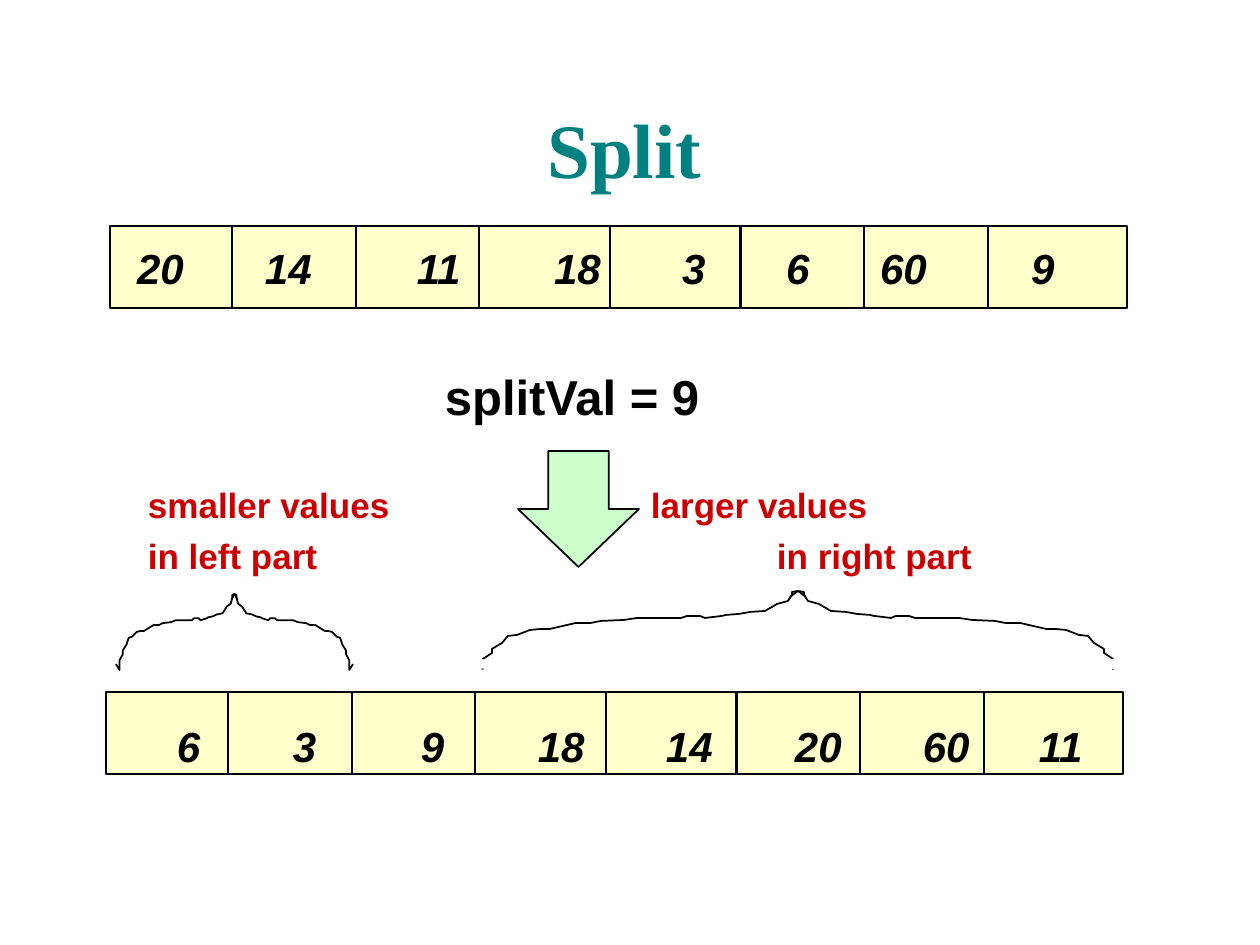
import pptx
import pptx.util
import pptx.dml.color
import pptx.enum.shapes
import pptx.enum.text
import pptx.oxml
import pptx.oxml.ns

SCALE = 914400 / 126  # EMU per px
COLOURS = {"title": "008080", "cell": "FFFFCC", "arrow": "CCFFCC",
           "label": "CC0000", "ink": "000000", "paper": "FFFFFF"}

# Half a brace, from its foot to its tip: distance from the axis, depth below the tip
HALF_BRACE = [
    (325, 72), (315, 78), (315, 68), (306, 62), (306, 58), (301, 55), (296, 52),
    (290, 45), (281, 44), (268, 39), (257, 38), (248, 38), (222, 32), (207, 32),
    (197, 30), (174, 29), (161, 27), (117, 27), (111, 25), (98, 25), (93, 27),
    (76, 25), (72, 24), (59, 23), (48, 21), (33, 20), (26, 16), (21, 13),
    (10, 10), (6, 4), (6, 1), (0, 0), (-8, 6)]
BRACE_WIDTH, BRACE_HEIGHT = 650, 78

# Array row: two blocks (left, width) and the dividers between their cells
BLOCKS = [(0, 630), (631, 386)]
DIVIDERS = [122, 246, 369, 500, 754, 878]
ROW_HEIGHT = 82


def emu(px):
    return pptx.util.Emu(round(px * SCALE))


def rgb(name):
    return pptx.dml.color.RGBColor.from_string(COLOURS[name])


def outline(shape):
    shape.line.color.rgb = rgb("ink")
    shape.line.width = pptx.util.Pt(1)


def add_block(shapes, kind, box, fill):
    shape = shapes.add_shape(kind, *map(emu, box))
    shape.shadow.inherit = False
    shape.fill.solid()
    shape.fill.fore_color.rgb = rgb(fill)
    outline(shape)
    return shape


def format_runs(para, size, colour, font="Arial", italic=False):
    for span in para.runs:
        span.font.name = font
        span.font.size = pptx.util.Pt(size)
        span.font.bold = True
        span.font.italic = italic
        span.font.color.rgb = rgb(colour)


def add_text(page, box, text, size, colour, italic=False):
    frame = page.shapes.add_textbox(*map(emu, box)).text_frame
    frame.word_wrap = True
    frame.margin_left = frame.margin_right = frame.margin_top = frame.margin_bottom = 0
    frame.text = text
    for index, para in enumerate(frame.paragraphs):
        if index:
            para.space_before = pptx.util.Pt(5)
        format_runs(para, size, colour, italic=italic)
    return frame


def add_tabs(para, positions):
    tabs = pptx.oxml.parse_xml(f"<a:tabLst {pptx.oxml.ns.nsdecls('a')}/>")
    for position in positions:
        tab = tabs.makeelement(pptx.oxml.ns.qn("a:tab"),
                               {"pos": str(emu(position)), "algn": "l"})
        tabs.append(tab)
    properties = para._p.get_or_add_pPr()
    properties.append(tabs)


def add_title(page, box, text):
    title = page.shapes.title
    title.left, title.top, title.width, title.height = map(emu, box)
    frame = title.text_frame
    frame.text = text
    frame.vertical_anchor = pptx.enum.text.MSO_ANCHOR.BOTTOM
    frame.paragraphs[0].alignment = pptx.enum.text.PP_ALIGN.CENTER
    format_runs(frame.paragraphs[0], 44, "title", font="Times New Roman")


def add_array(page, left, top, values, offsets, text_top):
    """Draw a row of cells with its values at the given offsets."""
    shapes = page.shapes.add_group_shape().shapes
    for start, width in BLOCKS:
        add_block(shapes, pptx.enum.shapes.MSO_SHAPE.RECTANGLE,
                  (left + start, top, width, ROW_HEIGHT), "cell")
    for offset in DIVIDERS:
        ends = (left + offset, top - 1, left + offset, top + ROW_HEIGHT + 1)
        divider = shapes.add_connector(
            pptx.enum.shapes.MSO_CONNECTOR.STRAIGHT, *map(emu, ends))
        outline(divider)
        divider._element.spPr.append(
            pptx.oxml.parse_xml(f"<a:effectLst {pptx.oxml.ns.nsdecls('a')}/>"))

    first = offsets[0]
    box = (left + first, top + text_top, 1017 - first, 48)
    frame = add_text(page, box, "\t".join(map(str, values)), 24, "ink", italic=True)
    add_tabs(frame.paragraphs[0], [offset - first for offset in offsets[1:]])


def add_brace(page, left, top, width, height):
    """Draw a brace as two mirrored halves that meet at the tip."""
    axis = left + width / 2
    for side in (-1, 1):
        points = [(emu(axis + side * distance * width / BRACE_WIDTH),
                   emu(top + depth * height / BRACE_HEIGHT))
                  for distance, depth in HALF_BRACE]
        builder = page.shapes.build_freeform(*points[0])
        builder.add_line_segments(points[1:], close=False)
        half = builder.convert_to_shape()
        half.shadow.inherit = False
        half.fill.background()
        outline(half)


def add_brace_ends(page, left, top, gap):
    """Trim both feet of the wide brace with paper-coloured ovals."""
    for offset in (0, gap):
        oval = add_block(page.shapes, pptx.enum.shapes.MSO_SHAPE.OVAL,
                         (left + offset, top, 94, 10), "paper")
        oval.line.fill.background()


def add_split_step(page, left, top):
    """Place the split value, the arrow and the labels of both parts."""
    add_text(page, (left + 297, top, 300, 56), "splitVal = 9", 28, "ink")
    add_block(page.shapes, pptx.enum.shapes.MSO_SHAPE.DOWN_ARROW,
              (left + 370, top + 84, 121, 116), "arrow")
    add_text(page, (left, top + 117, 300, 90),
             "smaller values\nin left part", 20, "label")
    larger = add_text(page, (left + 503, top + 117, 400, 90),
                      "larger values\nin right part", 20, "label")
    larger.paragraphs[1]._p.get_or_add_pPr().set("marL", str(emu(126)))


def main():
    deck = pptx.Presentation()
    deck.slide_width, deck.slide_height = emu(1260), emu(945)
    page = deck.slides.add_slide(deck.slide_layouts[5])

    add_title(page, (84, 42, 1081, 158), "Split")

    # Braces over the two parts of the result
    add_brace(page, 473, 591, 650, 78)
    add_brace(page, 116, 594, 237, 76)
    add_brace_ends(page, 420, 659, 651)

    # Array before and after the split
    add_array(page, 110, 226, [20, 14, 11, 18, 3, 6, 60, 9],
              [27, 155, 307, 444, 572, 676, 770, 921], 17)
    add_array(page, 106, 692, [6, 3, 9, 18, 14, 20, 60, 11],
              [71, 187, 315, 432, 560, 689, 817, 933], 29)

    add_split_step(page, 148, 367)
    deck.save("out.pptx")


if __name__ == "__main__":
    main()
